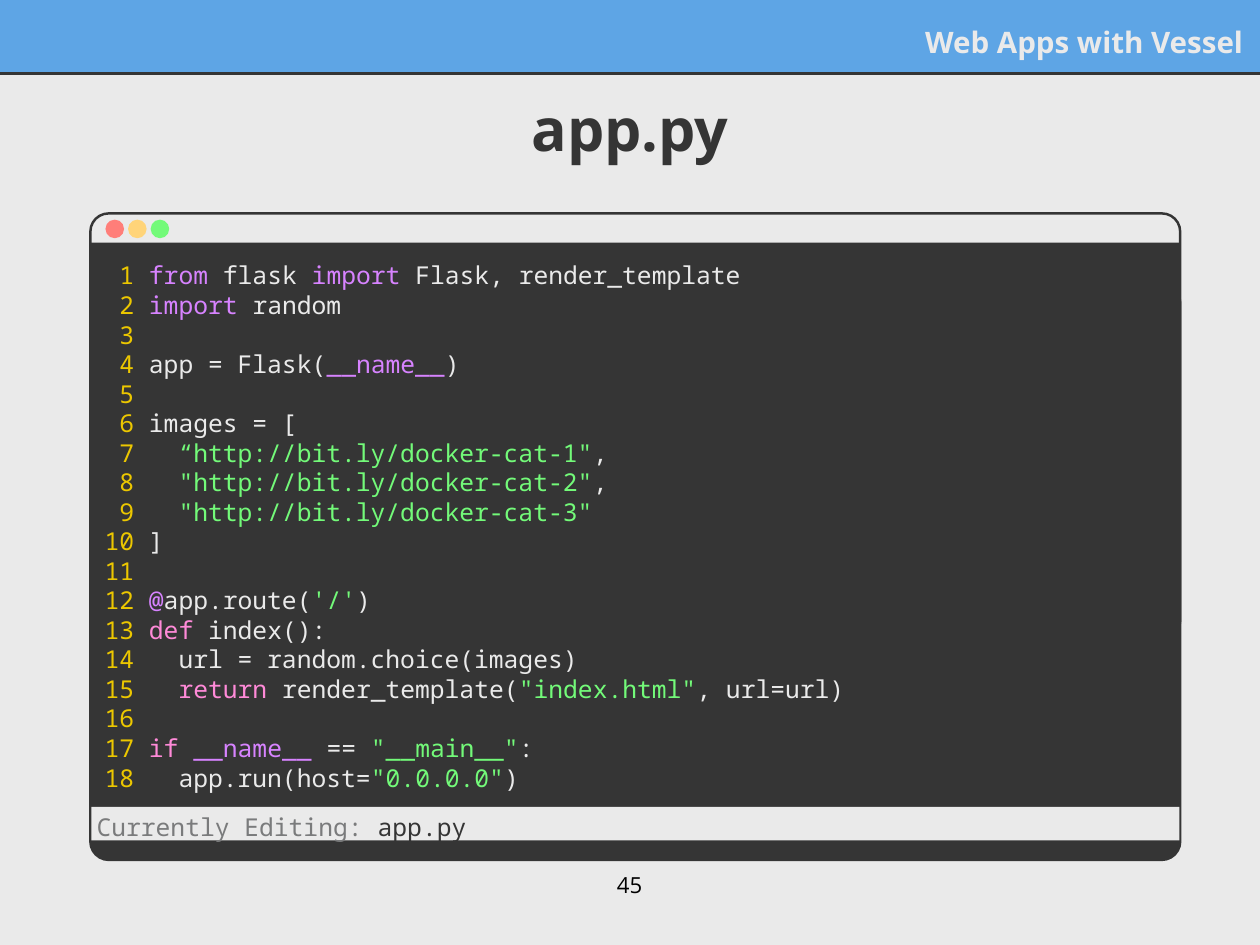
from pptx import Presentation
from pptx.dml.color import RGBColor
from pptx.enum.shapes import MSO_CONNECTOR, MSO_SHAPE
from pptx.enum.text import MSO_ANCHOR, PP_ALIGN
from pptx.oxml.ns import qn
from pptx.util import Inches, Pt
from lxml import etree

COLORS = {
    "light": "EAEAEA", "dark": "353535", "blue": "5EA5E5", "black": "000000",
    "red": "FF7E79", "amber": "FFD479", "green": "73FA79", "number": "ECC700",
    "purple": "D783FF", "pink": "FF8AD8", "gray": "7A7B7C",
}
SANS, MONO = "Open Sans", "Noto Sans Mono"


def add_panel(kind, left, top, width, height, fill, outlined=False, radius=None):
    shape = slide.shapes.add_shape(kind, Inches(left), Inches(top), Inches(width), Inches(height))
    shape.shadow.inherit = False
    shape.fill.solid()
    shape.fill.fore_color.rgb = RGBColor.from_string(COLORS[fill])
    if outlined:
        shape.line.color.rgb = RGBColor.from_string(COLORS["dark"])
        shape.line.width = Pt(2)
    else:
        shape.line.fill.background()
    if radius is not None:
        shape.adjustments[0] = radius
    return shape


def write_text(shape, lines, font=SANS, size=20, bold=False, align=PP_ALIGN.LEFT,
               anchor=MSO_ANCHOR.TOP, spacing=None):
    """Fill a shape with lines, each a list of (text, color name) runs."""
    frame = shape.text_frame
    frame.word_wrap = True
    frame.vertical_anchor = anchor
    frame.margin_left = frame.margin_right = Inches(0.06)
    frame.margin_top = frame.margin_bottom = Inches(0.06)
    for index, runs in enumerate(lines):
        paragraph = frame.add_paragraph() if index else frame.paragraphs[0]
        paragraph.alignment = align
        if spacing:
            paragraph.line_spacing = Pt(spacing)
        for text, color in runs:
            run = paragraph.add_run()
            run.text = text
            run.font.name, run.font.size, run.font.bold = font, Pt(size), bold
            run.font.color.rgb = RGBColor.from_string(COLORS[color])


presentation = Presentation()
presentation.slide_width, presentation.slide_height = Inches(14.22), Inches(10.67)
slide = presentation.slides.add_slide(presentation.slide_layouts[6])
slide.background.fill.solid()
slide.background.fill.fore_color.rgb = RGBColor.from_string(COLORS["light"])

# Header band with its rule
add_panel(MSO_SHAPE.RECTANGLE, 0, -0.01, 14.22, 0.85, "blue")
rule = slide.shapes.add_connector(
    MSO_CONNECTOR.STRAIGHT, 0, Inches(0.83), Inches(14.22), Inches(0.83))
rule.line.color.rgb = RGBColor.from_string(COLORS["dark"])
rule.line.width = Pt(2)
etree.SubElement(rule._element.spPr, qn("a:effectLst"))

# Header text and title
header = slide.shapes.add_textbox(Inches(10.24), Inches(0.23), Inches(3.85), Inches(0.48))
write_text(header, [[("Web Apps with Vessel", "light")]], size=24, bold=True,
           align=PP_ALIGN.RIGHT, anchor=MSO_ANCHOR.MIDDLE)
title = slide.shapes.add_textbox(Inches(0.38), Inches(0.98), Inches(13.46), Inches(1.01))
write_text(title, [[("app.py", "dark")]], size=48, bold=True, align=PP_ALIGN.CENTER)

# Editor window and its buttons
add_panel(MSO_SHAPE.ROUNDED_RECTANGLE, 1.02, 2.41, 12.3, 4.8, "light", True, 0.043)
add_panel(MSO_SHAPE.ROUNDED_RECTANGLE, 1.02, 3.21, 12.3, 6.5, "dark", True, 0.032)
add_panel(MSO_SHAPE.RECTANGLE, 1.02, 2.74, 12.29, 1.17, "dark")
for index, color in enumerate(["red", "amber", "green"]):
    add_panel(MSO_SHAPE.OVAL, 1.19 + 0.255 * index, 2.48, 0.21, 0.21, color)

# Code listing, numbered line by line
code_lines = [
    [("from", "purple"), (" flask ", "light"), ("import", "purple"),
     (" Flask, render_template", "light")],
    [("import", "purple"), (" random", "light")],
    [],
    [("app = Flask(", "light"), ("__name__", "purple"), (")", "light")],
    [],
    [("images = [", "light")],
    [("  “http://bit.ly/docker-cat-1\"", "green"), (",", "light")],
    [("  \"http://bit.ly/docker-cat-2\"", "green"), (",", "light")],
    [("  \"http://bit.ly/docker-cat-3\"", "green")],
    [("]", "light")],
    [],
    [("@", "purple"), ("app.route(", "light"), ("'/'", "green"), (")", "light")],
    [("def", "pink"), (" index():", "light")],
    [("  url = random.choice(images)", "light")],
    [("  return", "pink"), (" render_template(", "light"), ("\"index.html\"", "green"),
     (", url=url)", "light")],
    [],
    [("if ", "pink"), ("__name__", "purple"), (" == ", "light"),
     ("\"__main__\"", "green"), (":", "light")],
    [("  app.run(host=", "light"), ("\"0.0.0.0\"", "green"), (")", "light")],
]
numbered_lines = [[(f"{number:>2} " if runs else f"{number:>2}", "number"), *runs]
                  for number, runs in enumerate(code_lines, 1)]
code = slide.shapes.add_textbox(Inches(1.12), Inches(2.88), Inches(11.98), Inches(6.13))
write_text(code, numbered_lines, font=MONO, spacing=24)

# Status bar
status = add_panel(MSO_SHAPE.RECTANGLE, 1.03, 9.11, 12.28, 0.38, "light")
write_text(status, [[("Currently Editing:", "gray"), (" app.py", "dark")]],
           font=MONO, spacing=24)

# Page number
page = slide.shapes.add_textbox(Inches(6.9), Inches(9.78), Inches(0.41), Inches(0.44))
write_text(page, [[("45", "black")]], size=18, align=PP_ALIGN.CENTER)

presentation.save("out.pptx")
